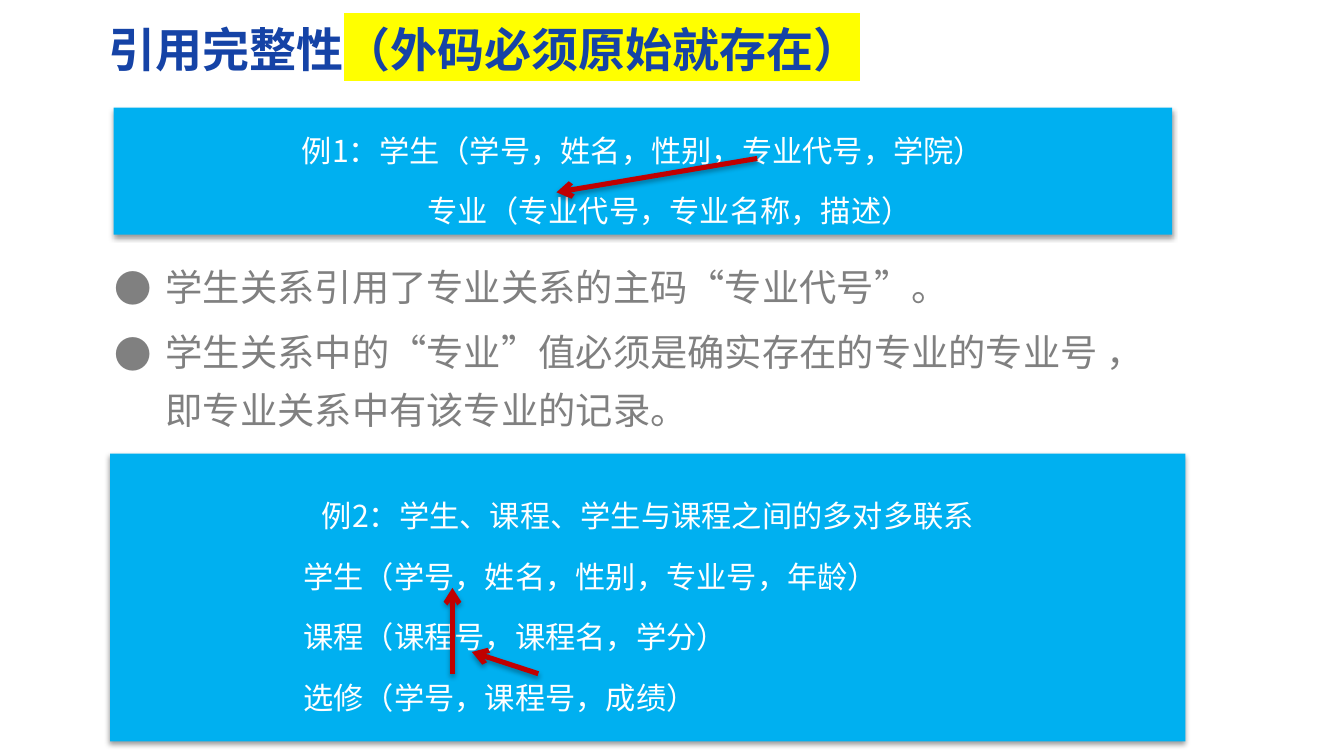
from lxml import etree
from pptx import Presentation, util as u
from pptx.dml.color import RGBColor
from pptx.enum import shapes, text
from pptx.oxml import ns, parse_xml

In, Pt = u.Inches, u.Pt
FACE = "Noto Sans CJK SC"
BLUE, SKY, RED, GREY, WHITE = "1543A6", "00B0F0", "C00000", "808080", "FFFFFF"
LEFT, MID = text.PP_ALIGN.LEFT, text.PP_ALIGN.CENTER
BODY = {"size": Pt(18), "bold": False}
LIST = {"size": Pt(22.2), "bold": False}
HEAD = {"size": Pt(28), "bold": True}


def color(code):
    return RGBColor.from_string(code)


def node(parent, tag, **attrs):
    return etree.SubElement(parent, ns.qn(tag), attrs)


def add_run(para, words, style, code, mark=None):
    run = para.add_run()
    run.text = words
    for key, value in {**style, "name": FACE}.items():
        setattr(run.font, key, value)
    run.font.color.rgb = color(code)
    props = run._r.get_or_add_rPr()
    props.set("lang", "zh-CN")
    latin = props.find(ns.qn("a:latin"))
    east = parse_xml(f'<a:ea {ns.nsdecls("a")} typeface="{FACE}"/>')
    latin.addnext(east)
    if mark:
        glow = parse_xml(f'<a:highlight {ns.nsdecls("a")}>'
                         f'<a:srgbClr val="{mark}"/></a:highlight>')
        latin.addprevious(glow)


def add_lines(frame, lines, style, code, space, bullet=None):
    """Each line is (words, alignment, left indent in inches)."""
    frame.word_wrap = True
    for i, (words, align, indent) in enumerate(lines):
        para = frame.paragraphs[0] if i == 0 else frame.add_paragraph()
        look = {"alignment": align, "line_spacing": space,
                "space_before": Pt(style["size"].pt * 0.2 if i else 0)}
        for key, value in look.items():
            setattr(para, key, value)
        props = para._p.get_or_add_pPr()
        props.set("marL", str(In(indent)))
        props.set("indent", str(In(-indent if bullet else 0)))
        if bullet:
            node(props, "a:buFont", typeface=FACE)
            node(props, "a:buChar", char=bullet)
        add_run(para, words, style, code)


def cast(shape, alpha, dist):
    """Soft shadow that falls straight down."""
    props = shape._element.spPr
    list_ = props.find(ns.qn("a:effectLst"))
    if list_ is None:
        list_ = node(props, "a:effectLst")
    soft = node(list_, "a:outerShdw", blurRad=str(Pt(3.1)),
                dist=str(Pt(dist)), dir="5400000", rotWithShape="0")
    tint = node(soft, "a:srgbClr", val="000000")
    node(tint, "a:alpha", val=str(alpha * 1000))


def add_panel(slide, place, lines):
    box = slide.shapes.add_shape(shapes.MSO_SHAPE.RECTANGLE, *map(In, place))
    box.shadow.inherit = False
    box.fill.solid()
    box.fill.fore_color.rgb = color(SKY)
    box.line.fill.background()
    cast(box, 38, 1.6)
    box.text_frame.vertical_anchor = text.MSO_ANCHOR.MIDDLE
    add_lines(box.text_frame, lines, BODY, WHITE, 1.5)


def add_arrow(slide, *ends):
    line = slide.shapes.add_connector(
        shapes.MSO_CONNECTOR.STRAIGHT, *map(In, ends))
    line.line.color.rgb = color(RED)
    line.line.width = Pt(3)
    node(line.line._get_or_add_ln(), "a:tailEnd", type="arrow")
    cast(line, 35, 1.8)


def add_title(slide):
    title = slide.shapes.title
    place = {"left": 0.79, "top": 0.11, "width": 9.81, "height": 0.58}
    for key, value in place.items():
        setattr(title, key, In(value))
    frame = title.text_frame
    inset = {"margin_left": 0.11, "margin_right": 0.11,
             "margin_top": 0.06, "margin_bottom": 0.06}
    for key, value in inset.items():
        setattr(frame, key, In(value))
    frame.vertical_anchor = text.MSO_ANCHOR.MIDDLE
    frame.auto_size = text.MSO_AUTO_SIZE.NONE
    para = frame.paragraphs[0]
    para.alignment = LEFT
    add_run(para, "引用完整性", HEAD, BLUE)
    add_run(para, "（外码必须原始就存在）", HEAD, BLUE, "FFFF00")


def main():
    deck = Presentation()
    deck.slide_width, deck.slide_height = In(11.11), In(6.25)
    slide = deck.slides.add_slide(deck.slide_layouts[5])
    add_title(slide)

    # Example 1: foreign key to the major
    add_panel(slide, (0.94, 0.89, 8.75, 1.05), [
        ("例1：学生（学号，姓名，性别，专业代号，学院）", MID, 0),
        ("专业（专业代号，专业名称，描述）", MID, 0.44)])
    add_arrow(slide, 6.26, 1.31, 4.6, 1.59)

    # Explanation
    note = slide.shapes.add_textbox(*map(In, (0.85, 2.02, 8.89, 1.59)))
    add_lines(note.text_frame, [
        ("学生关系引用了专业关系的主码“专业代号”。", LEFT, 0.42),
        ("学生关系中的“专业”值必须是确实存在的专业的专业号 ，"
         "即专业关系中有该专业的记录。", LEFT, 0.42)],
        LIST, GREY, 1.3, "●")

    # Example 2: many-to-many link
    add_panel(slide, (0.91, 3.75, 8.89, 2.38), [
        ("例2：学生、课程、学生与课程之间的多对多联系", MID, 0),
        ("学生（学号，姓名，性别，专业号，年龄）", LEFT, 1.5),
        ("课程（课程号，课程名，学分）", LEFT, 1.5),
        ("选修（学号，课程号，成绩）", LEFT, 1.5)])
    add_arrow(slide, 4.45, 5.57, 3.9, 5.39)
    add_arrow(slide, 3.74, 5.57, 3.74, 4.86)

    deck.save("out.pptx")


if __name__ == "__main__":
    main()
